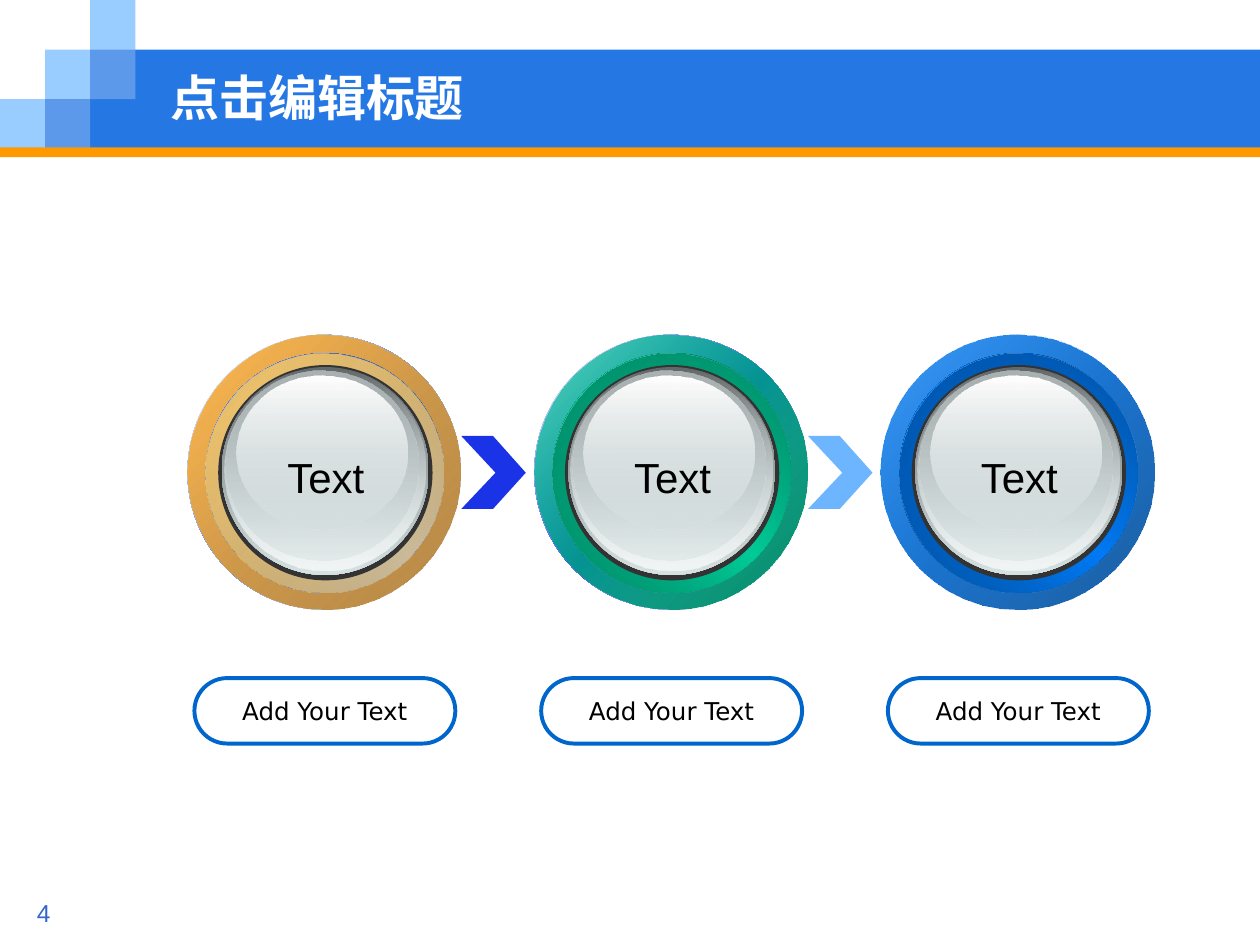
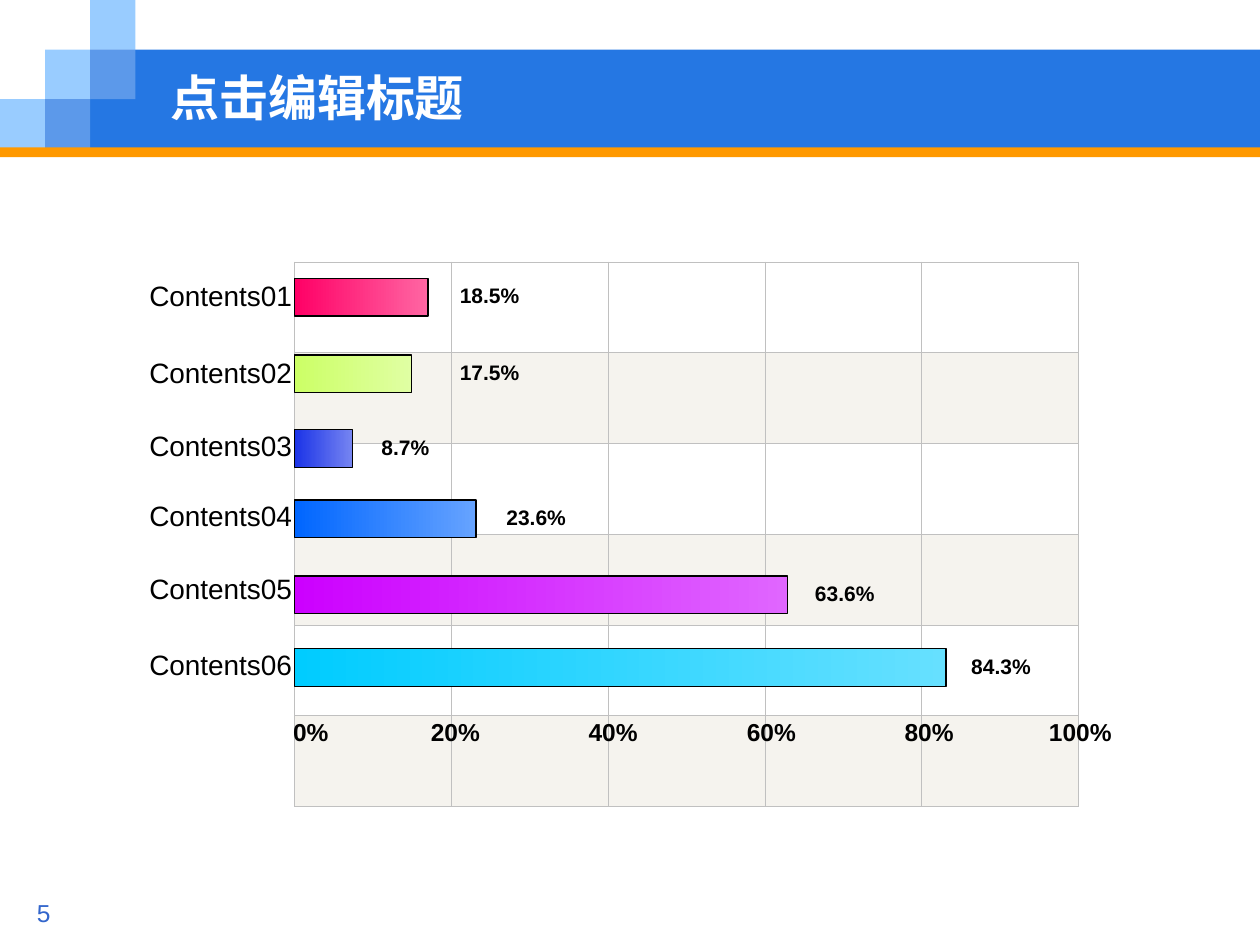
import lxml.etree
import pptx
import pptx.dml.color
import pptx.enum.shapes
import pptx.enum.text
import pptx.oxml.ns
import pptx.util

Cm = pptx.util.Cm
Pt = pptx.util.Pt
RGBColor = pptx.dml.color.RGBColor
rgb = RGBColor.from_string
qn = pptx.oxml.ns.qn
SubElement = lxml.etree.SubElement
KINDS = pptx.enum.shapes.MSO_SHAPE
ALIGN = pptx.enum.text.PP_ALIGN
MIDDLE = pptx.enum.text.MSO_ANCHOR.MIDDLE

# Colours
WHITE = RGBColor(0xFF, 0xFF, 0xFF)
BLACK = RGBColor(0x00, 0x00, 0x00)
BAND_BLUE = RGBColor(0x25, 0x77, 0xE3)
LIGHT_TILE = RGBColor(0x99, 0xCC, 0xFF)
MID_TILE = RGBColor(0x5C, 0x99, 0xEA)
ORANGE = RGBColor(0xFF, 0x99, 0x00)
NUMBER_BLUE = RGBColor(0x33, 0x66, 0xCC)
PILL_BLUE = RGBColor(0x00, 0x66, 0xCC)
ROYAL = RGBColor(0x1B, 0x33, 0xE7)
SKY = RGBColor(0x6D, 0xB6, 0xFF)
CHARCOAL = RGBColor(0x33, 0x33, 0x33)
SLATE = RGBColor(0x63, 0x68, 0x69)
STEEL = RGBColor(0xAA, 0xB2, 0xB3)
MIST = RGBColor(0xD6, 0xE1, 0xE2)
FROST = RGBColor(0xF1, 0xF5, 0xF5)
GRID_GREY = RGBColor(0xC0, 0xC0, 0xC0)
ROW_BEIGE = RGBColor(0xED, 0xE9, 0xDF)

# Text formats
TITLE_TEXT = {"name": "Noto Sans CJK SC", "size": Pt(28), "bold": True, "color": WHITE}
NUMBER_TEXT = {"name": "Arial", "size": Pt(14), "color": NUMBER_BLUE}
CIRCLE_TEXT = {"name": "Arial", "size": Pt(24), "color": BLACK}
PILL_TEXT = {"name": "DejaVu Sans", "size": Pt(14), "color": BLACK}
LABEL_TEXT = {"name": "Arial", "size": Pt(16), "color": BLACK}
VALUE_TEXT = {"name": "Arial", "size": Pt(12), "bold": True, "color": BLACK}
AXIS_TEXT = {"name": "Arial", "size": Pt(14), "bold": True, "color": BLACK}


def draw(shapes, kind, box, fill, angle=0, line=None, weight=0.75):
    """Add a shape; fill is a colour or a list of (position, colour, opacity) stops."""
    shape = shapes.add_shape(kind, *[Cm(length) for length in box])
    shape.shadow.inherit = False
    if isinstance(fill, RGBColor):
        shape.fill.solid()
        shape.fill.fore_color.rgb = fill
    else:
        shape.fill.gradient()
        shape.fill.gradient_angle = -angle % 360
        stops = shape.element.spPr.find(".//" + qn("a:gsLst"))
        for stop in list(stops):
            stops.remove(stop)
        for position, color, opacity in fill:
            stop = SubElement(stops, qn("a:gs"), pos=str(position * 1000))
            tint = SubElement(stop, qn("a:srgbClr"), val=str(color))
            if opacity < 100:
                SubElement(tint, qn("a:alpha"), val=str(opacity * 1000))
    if line is None:
        shape.line.fill.background()
    else:
        shape.line.color.rgb = line
        shape.line.width = Pt(weight)
    return shape


def write(shape, text, text_format, align=ALIGN.LEFT, wrap=True):
    """Put one formatted paragraph into a shape and return the paragraph."""
    shape.text_frame.word_wrap = wrap
    para = shape.text_frame.paragraphs[0]
    para.alignment = align
    span = para.add_run()
    span.text = text
    for name, value in text_format.items():
        if name == "color":
            span.font.color.rgb = value
        else:
            setattr(span.font, name, value)
    return para


deck = pptx.Presentation()
deck.slide_width, deck.slide_height = Cm(25.4), Cm(19.05)
layout = deck.slide_layouts[5]
pages = [deck.slides.add_slide(layout) for _ in range(2)]
circles_page, bars_page = pages

# Header band and tiles, moved into the shared layout
TILE_W, TILE_H = 0.91, 1.0
header = [((2 * TILE_W, TILE_H, 25.4 - 2 * TILE_W, 2 * TILE_H), BAND_BLUE)]
for column, row, color in [(0, 2, LIGHT_TILE), (1, 1, LIGHT_TILE), (2, 0, LIGHT_TILE),
                           (2, 1, MID_TILE), (1, 2, MID_TILE)]:
    header.append(((column * TILE_W, row * TILE_H, TILE_W, TILE_H), color))
header.append(((0, 2.97, 25.4, 0.2), ORANGE))
for box, color in header:
    part = draw(circles_page.shapes, KINDS.RECTANGLE, box, color)
    layout.shapes.element.append(part.element)

# Titles and page numbers
for number, page in enumerate(pages, start=4):
    title = page.shapes.title
    title.left, title.top, title.width, title.height = Cm(3.18), Cm(1.27), Cm(20.52), Cm(1.35)
    title.text_frame.auto_size = pptx.enum.text.MSO_AUTO_SIZE.NONE
    title.text_frame.vertical_anchor = MIDDLE
    para = write(title, "点击编辑标题", TITLE_TEXT)
    SubElement(para.runs[0].font._element, qn("a:ea"), typeface=TITLE_TEXT["name"])
    number_box = page.shapes.add_textbox(Cm(0), Cm(17.98), Cm(1.27), Cm(0.89))
    write(number_box, str(number), NUMBER_TEXT, ALIGN.RIGHT)

# Chevrons between the circles
PITCH = 6.99
CHEVRON = [(0, 0), (0.64, 0), (1.3, 0.74), (0.64, 1.47), (0, 1.47), (0.69, 0.74)]
for index, color in enumerate([ROYAL, SKY]):
    points = [(Cm(9.3 + index * PITCH + x), Cm(8.79 + y)) for x, y in CHEVRON]
    builder = circles_page.shapes.build_freeform(*points[0])
    builder.add_line_segments(points[1:], close=True)
    chevron = builder.convert_to_shape()
    chevron.shadow.inherit = False
    chevron.fill.solid()
    chevron.fill.fore_color.rgb = color
    chevron.line.fill.background()

# Circles: base sheen, outer face, rim edge and middle, rim face
RINGS = [
    (NUMBER_BLUE, [(0, rgb("FFB84F"), 100), (100, rgb("B28037"), 90)],
     rgb("37538A"), rgb("6699FF"), [(0, rgb("F3C261"), 100), (100, rgb("FFCC66"), 60)]),
    (ROYAL, [(0, rgb("00CC99"), 63), (100, rgb("008866"), 100)],
     rgb("006E53"), rgb("00CC99"), [(0, rgb("008261"), 100), (100, rgb("00CC99"), 0)]),
    (LIGHT_TILE, [(0, rgb("007BF6"), 76), (100, rgb("004A95"), 90)],
     rgb("004385"), rgb("007BF6"), [(0, rgb("004E9C"), 100), (100, rgb("007BF6"), 0)]),
]
GLASS = [
    ((0.69, 0.65, 4.17, 4.19), [(0, SLATE, 100), (100, MIST, 100)]),
    ((0.74, 0.67, 4.06, 4.09), [(0, MIST, 0), (100, FROST, 100)]),
    ((0.77, 0.72, 3.89, 3.84), [(0, STEEL, 100), (100, MIST, 48)]),
    ((0.99, 0.82, 3.45, 3.1), [(0, WHITE, 100), (100, MIST, 38)]),
]
for index, (sheen, face, edge, middle, rim) in enumerate(RINGS):
    left, top = 3.78 + index * PITCH, 6.75
    shapes = circles_page.shapes
    outer = (left, top, 5.51, 5.54)
    inner = (left + 0.37, top + 0.37, 4.8, 4.83)
    sheen_stops = [(0, WHITE, 100), (50, sheen, 100), (100, WHITE, 100)]
    edge_stops = [(0, edge, 100), (50, middle, 100), (100, edge, 100)]
    for box, fill, angle in [(outer, sheen_stops, 45), (outer, face, 45),
                             (inner, edge_stops, 315), (inner, rim, 45),
                             ((left + 0.62, top + 0.61, 4.32, 4.34), CHARCOAL, 0)]:
        draw(shapes, KINDS.OVAL, box, fill, angle)
    glass = shapes.add_group_shape()
    for (x, y, width, height), fill in GLASS:
        draw(glass.shapes, KINDS.OVAL, (left + x, top + y, width, height), fill, 90)
    caption = shapes.add_textbox(Cm(left + 1.71), Cm(8.97), Cm(2.16), Cm(1.27))
    write(caption, "Text", CIRCLE_TEXT, ALIGN.CENTER, wrap=False)
    pill = draw(shapes, KINDS.ROUNDED_RECTANGLE, (left + 0.14, 13.67, 5.26, 1.32),
                WHITE, line=PILL_BLUE, weight=2.25)
    pill.adjustments[0] = 0.5
    pill.text_frame.vertical_anchor = MIDDLE
    write(pill, "Add Your Text", PILL_TEXT, ALIGN.CENTER, wrap=False)

# Background grid of the bars
ROWS, COLUMNS = 6, 5
AXIS_X = 5.94
grid = bars_page.shapes.add_table(ROWS, COLUMNS, Cm(AXIS_X), Cm(5.28), Cm(15.8), Cm(10.98)).table
grid.first_row = grid.horz_banding = False
for row in grid.rows:
    row.height = Cm(1.83)
for column in grid.columns:
    column.width = Cm(3.16)
for index, cell in enumerate(grid.iter_cells()):
    properties = cell._tc.get_or_add_tcPr()
    for side in ("a:lnL", "a:lnR", "a:lnT", "a:lnB"):
        border = SubElement(properties, qn(side), w=str(int(Pt(0.45))))
        SubElement(SubElement(border, qn("a:solidFill")), qn("a:srgbClr"), val=str(GRID_GREY))
    if index // COLUMNS % 2:
        cell.fill.solid()
        cell.fill.fore_color.rgb = ROW_BEIGE
        tint = properties.find(qn("a:solidFill")).find(qn("a:srgbClr"))
        SubElement(tint, qn("a:alpha"), val="50000")
    else:
        cell.fill.background()

# Bars: value, label top, bar top, bar width, value left, gradient colours
BARS = [
    ("18.5%", 5.49, 5.61, 2.69, 9.02, rgb("FF0066"), rgb("FF66A3")),
    ("17.5%", 7.04, 7.16, 2.36, 9.02, rgb("CCFF66"), rgb("E0FFA3")),
    ("8.7%", 8.51, 8.66, 1.17, 7.44, ROYAL, rgb("7685F1")),
    ("23.6%", 9.93, 10.08, 3.66, 9.96, rgb("0066FF"), rgb("66A3FF")),
    ("63.6%", 11.4, 11.61, 9.93, 16.18, rgb("CC00FF"), rgb("E066FF")),
    ("84.3%", 12.93, 13.08, 13.13, 19.33, rgb("00CCFF"), rgb("66E0FF")),
]
for number, (value, label_top, top, width, value_left, start, end) in enumerate(BARS, start=1):
    label = bars_page.shapes.add_textbox(Cm(2.34), Cm(label_top), Cm(4.22), Cm(0.94))
    write(label, f"Contents{number:02}", LABEL_TEXT, ALIGN.CENTER)
    draw(bars_page.shapes, KINDS.RECTANGLE, (AXIS_X, top, width, 0.76),
         [(0, start, 100), (100, end, 100)], line=BLACK)
    value_box = bars_page.shapes.add_textbox(Cm(value_left), Cm(top - 0.03), Cm(2.44), Cm(0.76))
    write(value_box, value, VALUE_TEXT)

# Axis labels on centred tab stops
axis_box = bars_page.shapes.add_textbox(Cm(5.66), Cm(14.33), Cm(17.12), Cm(1.45))
axis = write(axis_box, "\t".join(f"{percent}%" for percent in range(0, 101, 20)), AXIS_TEXT)
tabs = SubElement(axis._p.get_or_add_pPr(), qn("a:tabLst"))
for position in (3.27, 6.45, 9.64, 12.82, 15.87):
    SubElement(tabs, qn("a:tab"), pos=str(int(Cm(position))), algn="ctr")

deck.save("out.pptx")
